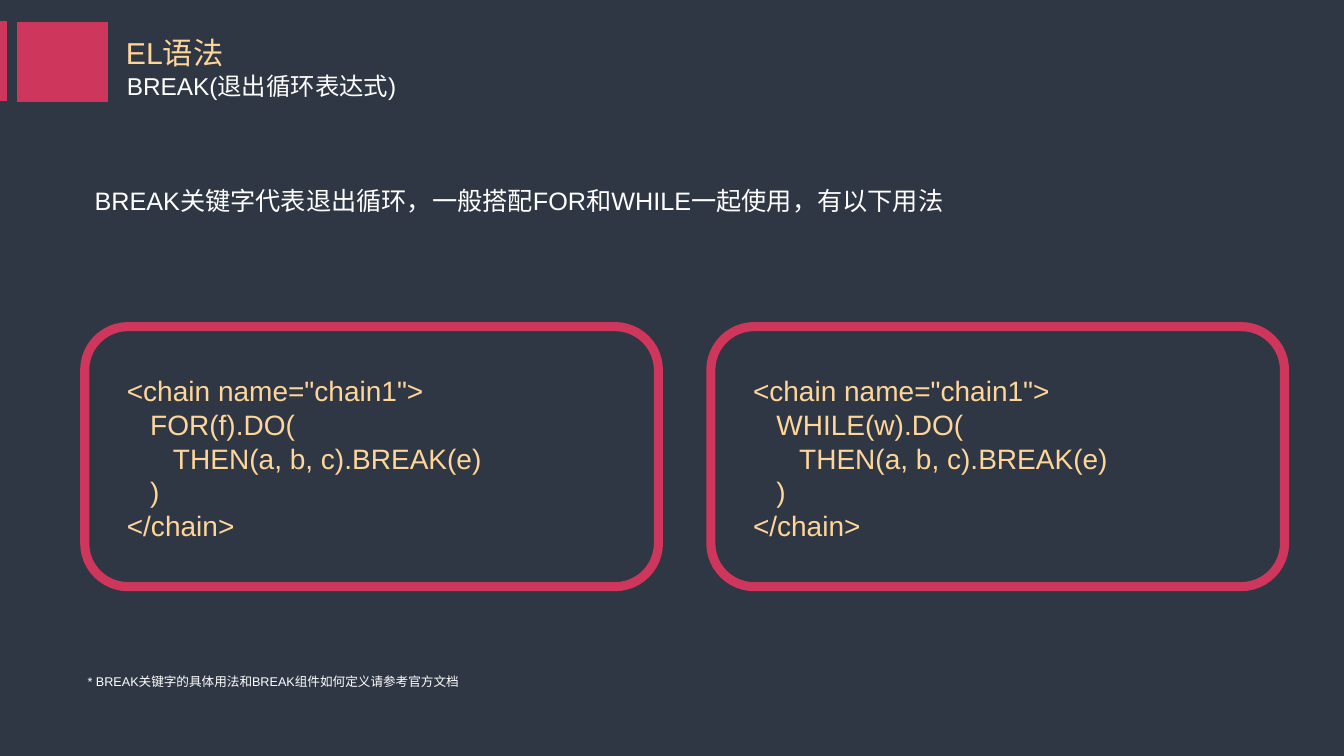
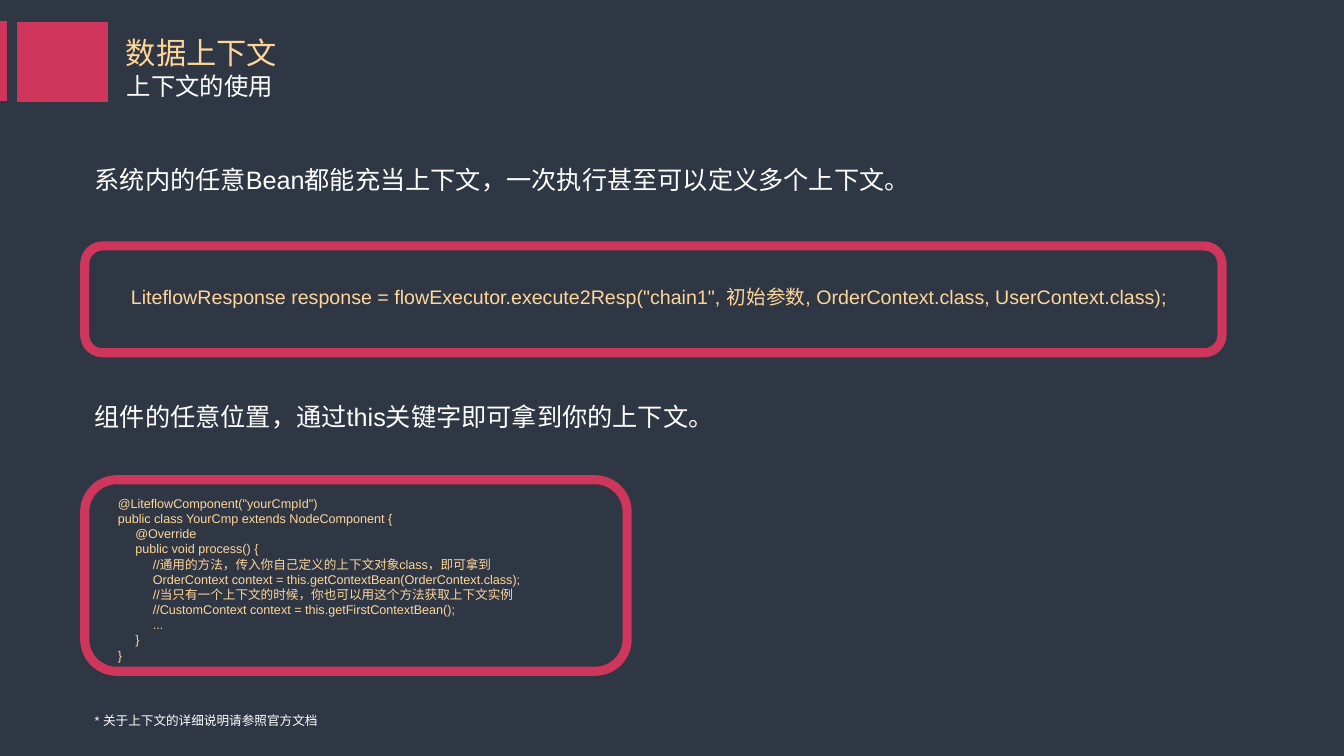
from dataclasses import dataclass

import pptx
import pptx.dml.color
import pptx.enum.shapes
import pptx.enum.text
import pptx.util

RGBColor = pptx.dml.color.RGBColor
Shape = pptx.enum.shapes.MSO_SHAPE
Anchor = pptx.enum.text.MSO_ANCHOR
Fit = pptx.enum.text.MSO_AUTO_SIZE

NAVY = RGBColor(0x2F, 0x37, 0x44)
ROSE = RGBColor(0xCE, 0x36, 0x5C)
SAND = RGBColor(0xFF, 0xD6, 0x99)
WHITE = RGBColor(0xFF, 0xFF, 0xFF)
FONT = "Arial"
SCALE = 9144
LEFT = 84


@dataclass(frozen=True)
class Box:
    left: int
    top: int
    width: int
    height: int

    def emu(self) -> tuple[int, ...]:
        return tuple(n * SCALE for n in (self.left, self.top, self.width, self.height))


@dataclass(frozen=True)
class Style:
    size: float
    color: RGBColor
    grow: bool = False
    anchor: Anchor = Anchor.TOP


@dataclass(frozen=True)
class Panel:
    frame: Box
    area: Box
    size: float
    code: str


TITLE = Style(21.6, SAND, anchor=Anchor.MIDDLE)
SUBTITLE = Style(17.4, WHITE)
BODY = Style(18, WHITE, grow=True)
NOTE = Style(9, WHITE)
BANDS = (Box(0, 21, 7, 79), Box(17, 22, 90, 79))

LOOP = """<chain name="chain1">
   {}.DO(
      THEN(a, b, c).BREAK(e)
   )
</chain>"""

CALL = (
    'LiteflowResponse response = flowExecutor.execute2Resp("chain1", '
    "初始参数, OrderContext.class, UserContext.class);"
)

BEAN = """@LiteflowComponent("yourCmpId")
public class YourCmp extends NodeComponent {
     @Override
     public void process() {
          //通用的方法，传入你自己定义的上下文对象class，即可拿到
          OrderContext context = this.getContextBean(OrderContext.class);
          //当只有一个上下文的时候，你也可以用这个方法获取上下文实例
          //CustomContext context = this.getFirstContextBean();
          ...
     }
}"""


def add_text(slide, box: Box, text: str, style: Style) -> None:
    frame = slide.shapes.add_textbox(*box.emu()).text_frame
    frame.word_wrap = True
    frame.auto_size = Fit.SHAPE_TO_FIT_TEXT if style.grow else Fit.NONE
    frame.vertical_anchor = style.anchor
    frame.text = text
    for line in frame.paragraphs:
        line.font.name = FONT
        line.font.size = pptx.util.Pt(style.size)
        line.font.color.rgb = style.color


def add_band(slide, box: Box) -> None:
    band = slide.shapes.add_shape(Shape.RECTANGLE, *box.emu())
    band.shadow.inherit = False
    band.fill.solid()
    band.fill.fore_color.rgb = ROSE
    band.line.fill.background()


def add_panel(slide, panel: Panel) -> None:
    frame = slide.shapes.add_shape(Shape.ROUNDED_RECTANGLE, *panel.frame.emu())
    frame.shadow.inherit = False
    frame.fill.background()
    frame.line.color.rgb = ROSE
    frame.line.width = pptx.util.Pt(6.5)
    add_text(slide, panel.area, panel.code, Style(panel.size, SAND, grow=True))


def add_body(slide, top: int, text: str) -> None:
    add_text(slide, Box(LEFT, top, 1018, 40), text, BODY)


def add_slide(deck, title: str, subtitle: str):
    slide = deck.slides.add_slide(deck.slide_layouts[6])
    fill = slide.background.fill
    fill.solid()
    fill.fore_color.rgb = NAVY
    for box in BANDS:
        add_band(slide, box)
    add_text(slide, Box(115, 31, 388, 43), title, TITLE)
    add_text(slide, Box(116, 66, 538, 40), subtitle, SUBTITLE)
    return slide


def add_break(deck) -> None:
    slide = add_slide(deck, "EL语法", "BREAK(退出循环表达式)")
    add_body(slide, 179, "BREAK关键字代表退出循环，一般搭配FOR和WHILE一起使用，有以下用法")
    for col, loop in enumerate(("FOR(f)", "WHILE(w)")):
        left = LEFT + col * 621
        frame = Box(left, 324, 569, 258)
        area = Box(left + 32, 366, 508, 178)
        add_panel(slide, Panel(frame, area, 20, LOOP.format(loop)))
    note = "* BREAK关键字的具体用法和BREAK组件如何定义请参考官方文档"
    add_text(slide, Box(77, 664, 406, 34), note, NOTE)


def add_context(deck) -> None:
    slide = add_slide(deck, "数据上下文", "上下文的使用")
    add_body(slide, 158, "系统内的任意Bean都能充当上下文，一次执行甚至可以定义多个上下文。")
    add_panel(slide, Panel(Box(LEFT, 244, 1128, 106), Box(120, 278, 1052, 34), 14, CALL))
    add_body(slide, 393, "组件的任意位置，通过this关键字即可拿到你的上下文。")
    add_panel(slide, Panel(Box(LEFT, 476, 538, 190), Box(107, 487, 494, 177), 9, BEAN))
    add_text(slide, Box(LEFT, 702, 269, 30), "* 关于上下文的详细说明请参照官方文档", NOTE)


def main() -> None:
    deck = pptx.Presentation()
    deck.slide_width = 1333 * SCALE
    deck.slide_height = 750 * SCALE
    add_break(deck)
    add_context(deck)
    deck.save("out.pptx")


if __name__ == "__main__":
    main()
